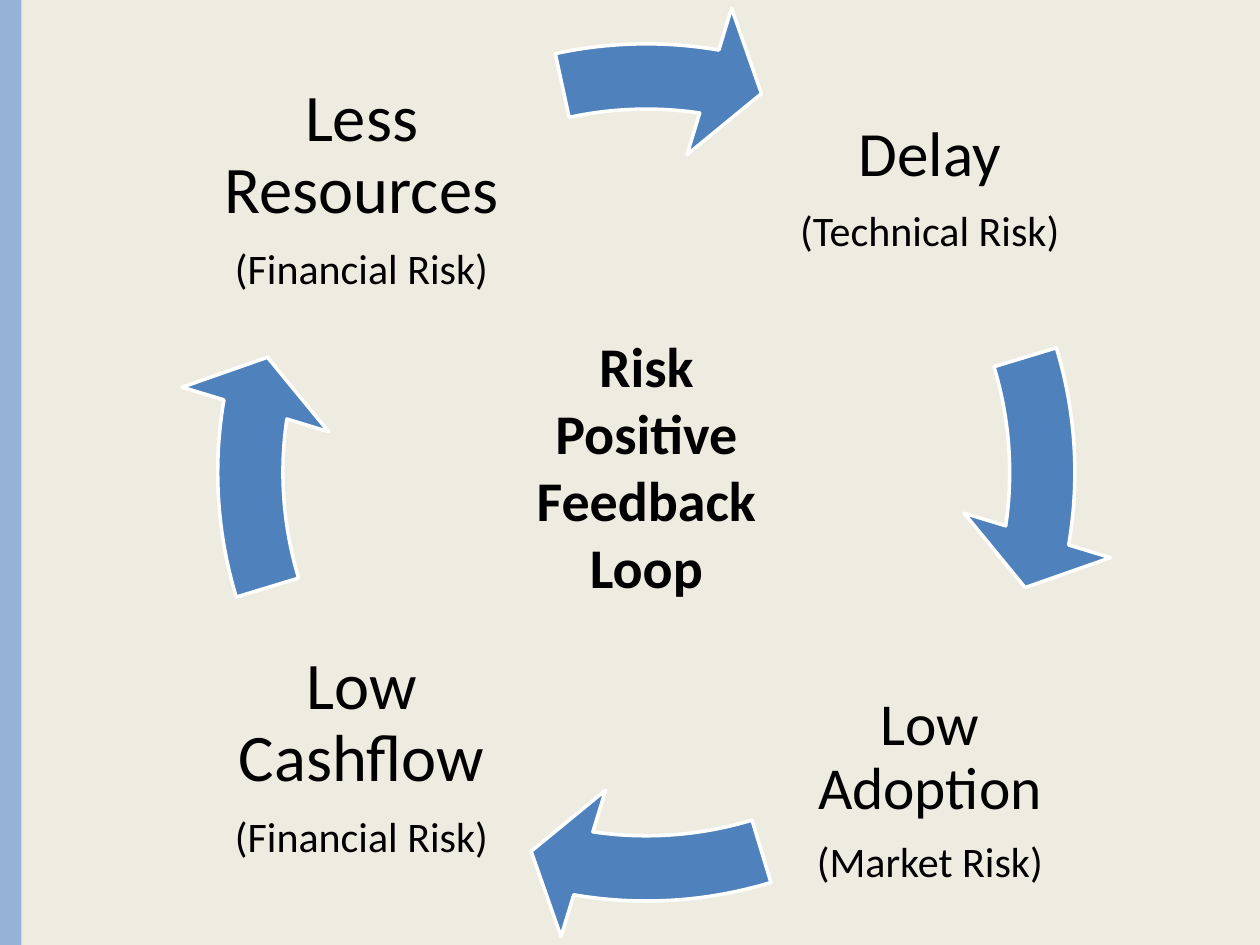
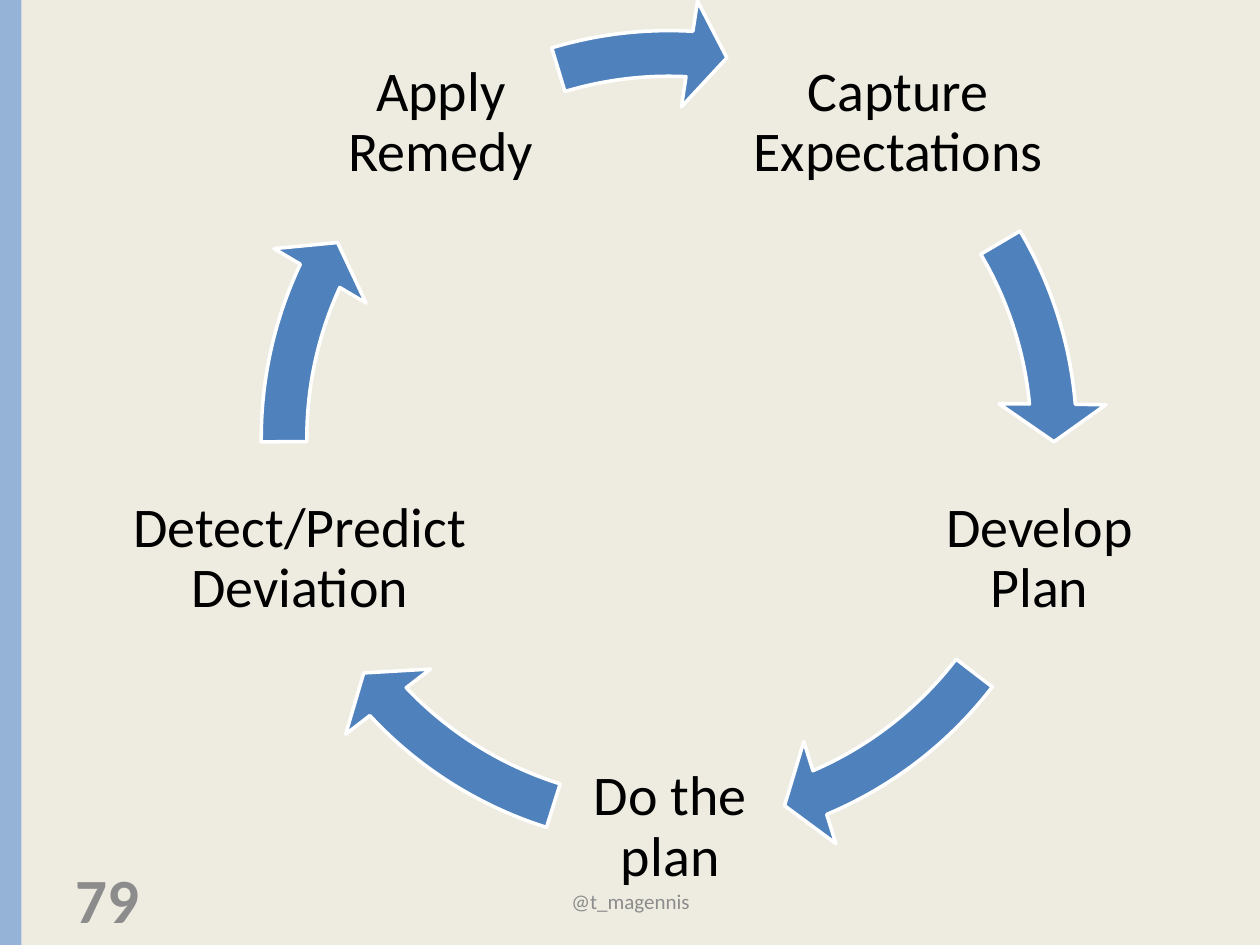
from pptx import Presentation
from pptx.dml.color import RGBColor
from pptx.enum.shapes import MSO_SHAPE as Shape
from pptx.enum.text import MSO_ANCHOR as Anchor, MSO_AUTO_SIZE as AutoSize, PP_ALIGN as Align
from pptx.util import Inches, Pt

CREAM = RGBColor(0xEE, 0xEC, 0xE1)
BAND_BLUE = RGBColor(0x95, 0xB3, 0xD7)
ARROW_BLUE = RGBColor(0x4F, 0x81, 0xBD)
WHITE = RGBColor(0xFF, 0xFF, 0xFF)
BLACK = RGBColor(0, 0, 0)
GRAY = RGBColor(0x8C, 0x8C, 0x8C)
FONT = "Calibri"
NOTE_SIZE = 24
GAP_RATIO = 0.31  # space after a stage name, as a share of its size


def add_slide(deck):
    """Add a blank slide with the blue band along its left edge."""
    slide = deck.slides.add_slide(deck.slide_layouts[6])
    band = slide.shapes.add_shape(Shape.RECTANGLE, 0, 0, Inches(0.17), deck.slide_height)
    band.shadow.inherit = False
    band.fill.solid()
    band.fill.fore_color.rgb = BAND_BLUE
    band.line.fill.background()
    return slide


def add_text(slide, box, text, sizes, color=BLACK, bold=False,
             align=Align.CENTER, anchor=Anchor.MIDDLE):
    """Add a text box; sizes holds one point size per paragraph."""
    frame = slide.shapes.add_textbox(*map(Inches, box)).text_frame
    frame.word_wrap = True
    frame.vertical_anchor = anchor
    frame.text = text
    for paragraph, size in zip(frame.paragraphs, sizes):
        paragraph.alignment = align
        for run in paragraph.runs:
            font = run.font
            font.name, font.size, font.bold = FONT, Pt(size), bold
            font.color.rgb = color
    return frame


def add_stage(slide, box, name, size, inset, note=None, drop=0):
    """Add a stage name with an optional note; drop lowers the text area."""
    text, sizes = (f"{name}\n{note}", (size, NOTE_SIZE)) if note else (name, (size,))
    frame = add_text(slide, box, text, sizes)
    frame.margin_left = frame.margin_right = frame.margin_bottom = Inches(inset)
    frame.margin_top = Inches(inset + drop)
    for paragraph in frame.paragraphs:
        paragraph.line_spacing = 0.9
    if note:
        frame.paragraphs[0].space_after = Pt(size * GAP_RATIO)


def add_ring_arrow(slide, ring, start, end, thickness, head_angle, head_width):
    """Add one arrow on the ring box; angles are degrees clockwise from the right."""
    arrow = slide.shapes.add_shape(Shape.CIRCULAR_ARROW, *map(Inches, ring))
    arrow.shadow.inherit = False
    arrow.fill.solid()
    arrow.fill.fore_color.rgb = ARROW_BLUE
    arrow.line.color.rgb = WHITE
    arrow.line.width = Pt(2)
    head, tip, tail = (angle * 0.6 for angle in (head_angle, end, start))
    for index, value in enumerate((thickness, head, tip, tail, head_width)):
        arrow.adjustments[index] = value


def build_risk_loop(deck):
    slide = add_slide(deck)
    ring = (1.38, 0, 7.5, 7.5)
    stages = [
        ((6.05, 0.17, 2.66, 2.66), "Delay", 36, "(Technical Risk)", 0),
        ((6.05, 4.68, 2.66, 2.66), "Low Adoption", 34, "(Market Risk)", 0.52),
        ((1.54, 4.68, 2.66, 2.66), "Low Cashflow", 38, "(Financial Risk)", 0),
        ((1.29, 0.17, 3.16, 2.66), "Less Resources", 38, "(Financial Risk)", 0),
    ]
    starts = (343.09, 73.09, 163.09, 257.74)
    for index, (box, name, size, note, drop) in enumerate(stages):
        add_stage(slide, box, name, size, 0.05, note, drop)
        add_ring_arrow(slide, ring, starts[index], 9.15 + 90 * index, 0.069, 7.76, 0.081)
    loop_name = add_text(slide, (3.42, 2.58, 3.42, 2.26), "Risk\vPositive Feedback\nLoop",
                         (32, 32), bold=True, anchor=Anchor.TOP)
    loop_name.auto_size = AutoSize.SHAPE_TO_FIT_TEXT


def build_plan_cycle(deck):
    slide = add_slide(deck)
    add_text(slide, (3.42, 6.95, 3.17, 0.4), "@t_magennis", (12,), GRAY)
    add_text(slide, (0.5, 6.93, 2.33, 0.4), "79", (36,), GRAY, bold=True, align=Align.LEFT)
    ring = (1.83, 0, 6.96, 6.96)
    stages = [
        ((5.78, 0.05, 2.7, 1.86), "Capture Expectations", 329.43, 354.9),
        ((7.32, 3.51, 1.86, 1.86), "Develop Plan", 37.55, 66.93),
        ((4.39, 5.64, 1.86, 1.86), "Do the plan", 107.48, 136.86),
        ((0.82, 3.51, 3.12, 1.86), "Detect/Predict Deviation", 179.51, 204.98),
        ((2.57, 0.05, 1.86, 1.86), "Apply Remedy", 253.3, 273.05),
    ]
    for box, name, start, end in stages:
        add_stage(slide, box, name, 32, 0.04)
        add_ring_arrow(slide, ring, start, end, 0.052, 5.6, 0.061)


def main():
    deck = Presentation()
    deck.slide_width, deck.slide_height = Inches(10), Inches(7.5)
    backdrop = deck.slide_master.background.fill
    backdrop.solid()
    backdrop.fore_color.rgb = CREAM
    build_risk_loop(deck)
    build_plan_cycle(deck)
    deck.save("out.pptx")


if __name__ == "__main__":
    main()
